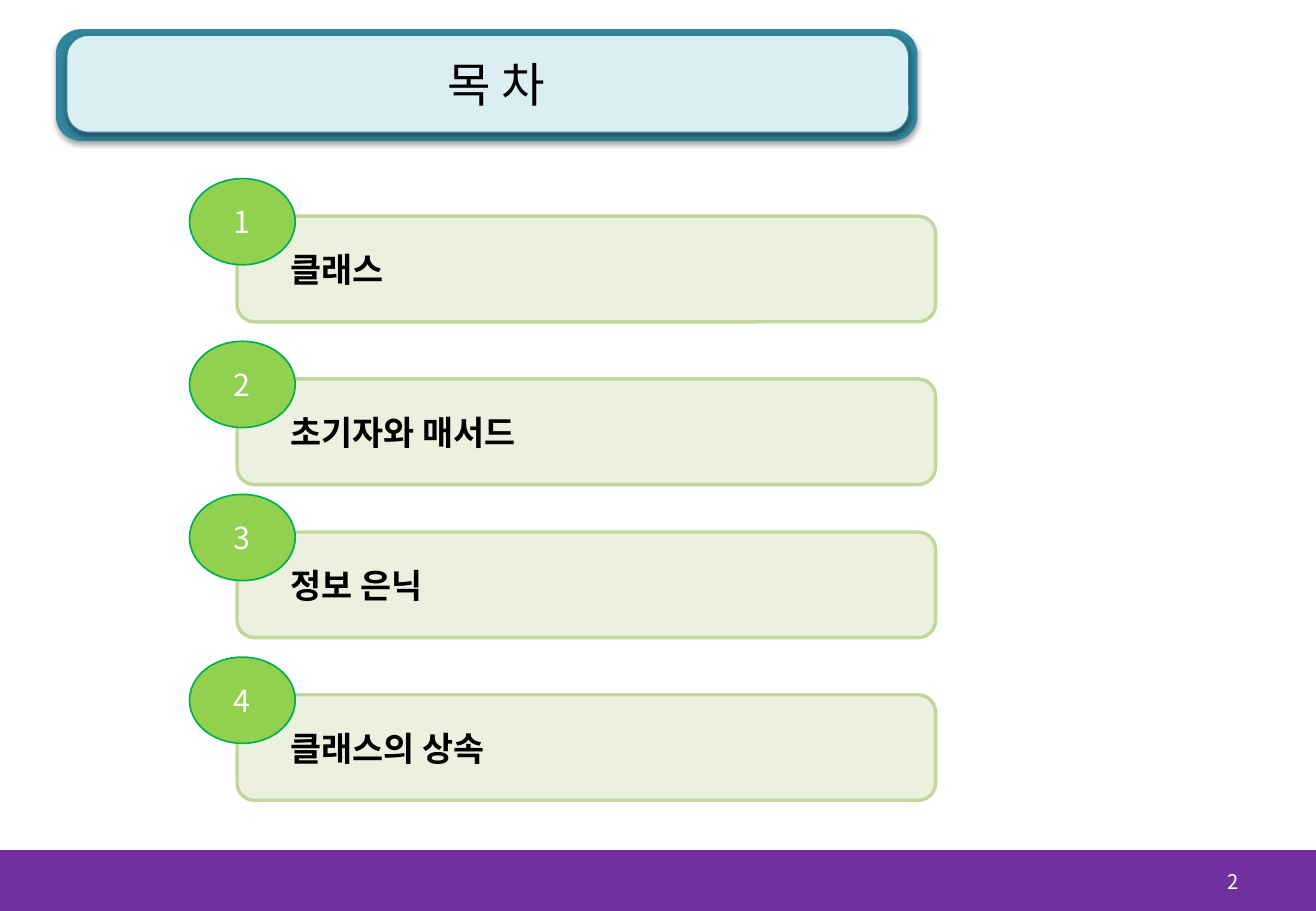
from lxml import etree
from pptx import Presentation
from pptx.dml.color import RGBColor
from pptx.enum.shapes import MSO_SHAPE as Preset
from pptx.enum.text import MSO_ANCHOR as Anchor, PP_ALIGN as Align
from pptx.oxml.ns import qn
from pptx.util import Inches, Pt

FONT = "Noto Sans CJK KR"
BLACK = RGBColor(0x00, 0x00, 0x00)
WHITE = RGBColor(0xFF, 0xFF, 0xFF)
GRAY = RGBColor(0xBF, 0xBF, 0xBF)
PURPLE = RGBColor(0x70, 0x30, 0xA0)
TEAL = RGBColor(0x31, 0x85, 0x9C)
PALE_BLUE = RGBColor(0xDB, 0xEE, 0xF4)
PALE_GREEN = RGBColor(0xEB, 0xF1, 0xDE)
SOFT_GREEN = RGBColor(0xC3, 0xD6, 0x9B)
LIME = RGBColor(0x92, 0xD0, 0x50)
GREEN = RGBColor(0x00, 0xB0, 0x50)

WIDTH, HEIGHT = 10.83, 7.5
WAVE_LEFT, WAVE_STEPS = -0.02, 60
ROW_LEFT, ROW_WIDTH, ROW_HEIGHT = 1.95, 5.75, 0.87
BADGE_WIDTH, BADGE_HEIGHT = 0.87, 0.71
BADGE_SHIFT_X, BADGE_SHIFT_Y = -0.39, -0.31

presentation = Presentation()
presentation.slide_width, presentation.slide_height = Inches(WIDTH), Inches(HEIGHT)
slide = presentation.slides.add_slide(presentation.slide_layouts[5])


def add_filled(preset, box, fill, line=None, line_width=0):
    shape = slide.shapes.add_shape(preset, *map(Inches, box))
    shape.shadow.inherit = False
    shape.fill.solid()
    shape.fill.fore_color.rgb = fill
    if line is None:
        shape.line.fill.background()
    else:
        shape.line.color.rgb = line
        shape.line.width = Pt(line_width)
    return shape


def write(shape, text, size, color, align, bold=False):
    frame = shape.text_frame
    frame.word_wrap = True
    frame.vertical_anchor = Anchor.MIDDLE
    paragraph = frame.paragraphs[0]
    paragraph.text = text
    paragraph.alignment = align
    font = paragraph.font
    font.name, font.size, font.bold = FONT, Pt(size), bold
    font.color.rgb = color
    properties = paragraph._p.pPr.find(qn("a:defRPr"))
    etree.SubElement(properties, qn("a:ea"), typeface=FONT)


# Footer waves: each upper edge is a cubic Bezier curve
waves = [
    (GRAY, [(WAVE_LEFT, 6.82), (3.65, 7.75), (7.2, 7.31), (WIDTH, 6.82)]),
    (PURPLE, [(WAVE_LEFT, 7.13), (3.65, 7.68), (7.2, 7.42), (WIDTH, 7.13)]),
]
for color, controls in waves:
    edge = []
    for step in range(WAVE_STEPS + 1):
        t = step / WAVE_STEPS
        weights = (1 - t) ** 3, 3 * t * (1 - t) ** 2, 3 * t ** 2 * (1 - t), t ** 3
        edge.append(tuple(sum(w * point[axis] for w, point in zip(weights, controls))
                          for axis in (0, 1)))
    builder = slide.shapes.build_freeform(*edge[0], scale=Inches(1))
    builder.add_line_segments(edge[1:] + [(WIDTH, HEIGHT), (WAVE_LEFT, HEIGHT)])
    wave = builder.convert_to_shape()
    wave.shadow.inherit = False
    wave.fill.solid()
    wave.fill.fore_color.rgb = color
    wave.line.fill.background()

# Title banner: two nested plates with a soft drop shadow
plates = [
    add_filled(Preset.ROUNDED_RECTANGLE, (0.46, 0.24, 7.09, 0.92), TEAL),
    add_filled(Preset.ROUNDED_RECTANGLE, (0.55, 0.29, 6.93, 0.8), PALE_BLUE, TEAL, 0.75),
]
for plate in plates:
    plate.adjustments[0] = 0.225
    effects = plate.element.spPr.find(qn("a:effectLst"))
    shadow = etree.SubElement(effects, qn("a:outerShdw"), blurRad=str(Pt(3.1)),
                              dist=str(Pt(1.6)), dir="5400000", rotWithShape="0")
    shadow_color = etree.SubElement(shadow, qn("a:srgbClr"), val="000000")
    etree.SubElement(shadow_color, qn("a:alpha"), val="38000")

title = slide.shapes.title
title.left, title.top, title.width, title.height = map(Inches, (0.69, 0.22, 6.78, 0.94))
write(title, "목 차", 28, BLACK, Align.CENTER)
plates[-1].element.addnext(title.element)

page_number = slide.shapes.add_textbox(*map(Inches, (9.68, 7.06, 0.61, 0.4)))
write(page_number, "2", 12, WHITE, Align.RIGHT)

chapters = [(1.78, "클래스"), (3.12, "초기자와 매서드"), (4.38, "정보 은닉"), (5.72, "클래스의 상속")]
for number, (top, chapter) in enumerate(chapters, start=1):
    row = add_filled(Preset.ROUNDED_RECTANGLE, (ROW_LEFT, top, ROW_WIDTH, ROW_HEIGHT),
                     PALE_GREEN, SOFT_GREEN, 2)
    row.text_frame.margin_left = Inches(0.4)
    write(row, chapter, 20, BLACK, Align.LEFT, bold=True)
    badge = add_filled(Preset.OVAL, (ROW_LEFT + BADGE_SHIFT_X, top + BADGE_SHIFT_Y,
                                     BADGE_WIDTH, BADGE_HEIGHT), LIME, GREEN, 1)
    write(badge, str(number), 18, WHITE, Align.CENTER)

presentation.save("out.pptx")
